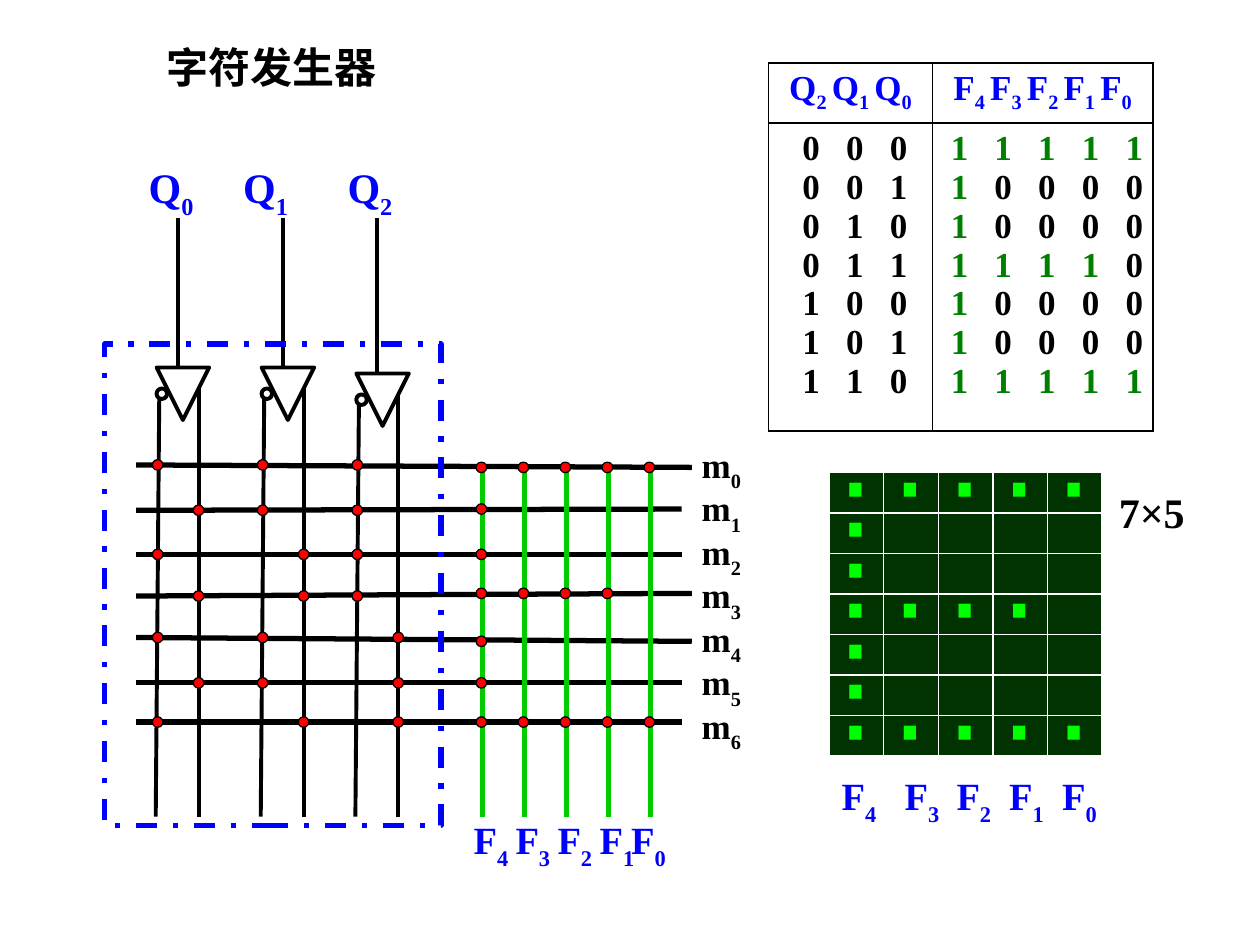
from lxml import etree
from pptx import Presentation
from pptx.dml.color import RGBColor
from pptx.enum.dml import MSO_LINE
from pptx.enum.shapes import MSO_CONNECTOR, MSO_SHAPE
from pptx.enum.text import MSO_ANCHOR, PP_ALIGN
from pptx.oxml.ns import qn
from pptx.util import Pt

STRAIGHT = MSO_CONNECTOR.STRAIGHT
TRIANGLE, OVAL, RECTANGLE = MSO_SHAPE.ISOSCELES_TRIANGLE, MSO_SHAPE.OVAL, MSO_SHAPE.RECTANGLE
TOP, LEFT, CENTER = MSO_ANCHOR.TOP, PP_ALIGN.LEFT, PP_ALIGN.CENTER
DASH_DOT = MSO_LINE.DASH_DOT

THEME = {
    "serif": "Times New Roman", "sans": "Noto Sans CJK SC",
    "ink": "000000", "label": "0000FF", "output": "00CC00", "dot": "FF0000",
    "one": "008000", "panel": "003300", "led": "00FF00", "grid": "FFFFFF",
    "large": 24, "medium": 22, "small": 20, "tiny": 8,
}
INK, LABEL = THEME["ink"], THEME["label"]
LARGE, MEDIUM, SMALL, TINY = (THEME[size] for size in ("large", "medium", "small", "tiny"))

STATES = ["000", "001", "010", "011", "100", "101", "110"]
PATTERNS = ["11111", "10000", "10000", "11110", "10000", "10000", "11111"]
WORD_LINES = [(265.7, 267.1, 395.3), (291.6, 290.9, 389.5), (316.8, 316.8, 389.5),
              (340.6, 339.1, 395.3), (364.3, 366.5, 395.3), (390.2, 390.2, 389.5),
              (412.6, 412.6, 389.5)]
GATES = [(89.5, 210), (149.5, 210), (203.6, 213.4)]
OUTPUTS = [275.6 + 24 * number for number in range(5)]
COLUMN_BOTTOM = 466.6

deck = Presentation()
deck.slide_width, deck.slide_height = Pt(720), Pt(540)
page = deck.slides.add_slide(deck.slide_layouts[5])


def draw_line(start_x, start_y, end_x, end_y, colour, width):
    line = page.shapes.add_connector(STRAIGHT, Pt(start_x), Pt(start_y), Pt(end_x), Pt(end_y))
    line.line.color.rgb = RGBColor.from_string(colour)
    line.line.width = Pt(width)
    etree.SubElement(line._element.spPr, qn("a:effectLst"))


def write_span(para, text, size, colour, face="serif", bold=True, **extra):
    span = para.add_run()
    span.text = text
    for name, value in {"size": Pt(size), "bold": bold, "name": THEME[face]}.items():
        setattr(span.font, name, value)
    span.font.color.rgb = RGBColor.from_string(colour)
    properties = span.font._element
    etree.SubElement(properties, qn("a:ea"), typeface=THEME[face])
    for name, value in extra.items():
        properties.set(name, str(value))


title = page.shapes.title
for name, value in {"left": 87.8, "top": 20.2, "width": 260.6, "height": 36.7}.items():
    setattr(title, name, Pt(value))
title.text_frame.vertical_anchor = TOP
title.text_frame.paragraphs[0].alignment = LEFT
write_span(title.text_frame.paragraphs[0], "字符发生器", LARGE, INK, "sans")

for left_y, right_y, end_x in WORD_LINES:
    draw_line(77.8, left_y, end_x, right_y, INK, 3)
for x, y in GATES:
    draw_line(x + 12, 124.6, x + 12, y, INK, 2.25)
    draw_line(x + 1.5, y + 18, x - 0.5, COLUMN_BOTTOM, INK, 2.25)
    draw_line(x + 24, COLUMN_BOTTOM, x + 24, y + 12, INK, 2.25)
for x in OUTPUTS:
    draw_line(x, 268.6, x, COLUMN_BOTTOM, THEME["output"], 3)

symbols = []
for x, y in GATES:
    symbols.append((TRIANGLE, x, y, 30, 30, None, INK, 2.25))
    symbols.append((OVAL, x, y + 12, 6, 6, None, INK, 2.25))
for state, pattern, (left_y, right_y, end_x) in zip(STATES, PATTERNS, WORD_LINES):
    inputs = [(x + (24 if bit == "1" else 0.6), left_y) for (x, y), bit in zip(GATES, reversed(state))]
    outputs = [(x - 0.5, right_y) for x, bit in zip(OUTPUTS, pattern) if bit == "1"]
    for x, y in inputs + outputs:
        symbols.append((OVAL, x - 3, y - 3, 6, 6, THEME["dot"], INK, 0.75))
symbols.append((RECTANGLE, 59.8, 196.6, 192.2, 275, None, LABEL, 3))

for kind, x, y, width, height, fill, colour, weight in symbols:
    symbol = page.shapes.add_shape(kind, Pt(x), Pt(y), Pt(width), Pt(height))
    symbol.shadow.inherit = False
    symbol.line.color.rgb = RGBColor.from_string(colour)
    symbol.line.width = Pt(weight)
    if fill:
        symbol.fill.solid()
        symbol.fill.fore_color.rgb = RGBColor.from_string(fill)
    else:
        symbol.fill.background()
    if kind == TRIANGLE:
        symbol.rotation = 180
    if kind == RECTANGLE:
        symbol.line.dash_style = DASH_DOT

panel_frame = page.shapes.add_table(7, 5, Pt(473.8), Pt(270), Pt(156), Pt(162.05))
truth_frame = page.shapes.add_table(2, 2, Pt(439.2), Pt(36), Pt(219.6), Pt(210.3))
panel, truth = panel_frame.table, truth_frame.table
for table, widths, heights, fill, border in [
    (panel, [31.2] * 5, [23.15] * 7, THEME["panel"], THEME["grid"]),
    (truth, [93.6, 126], [34.3, 176], None, INK),
]:
    table.first_row = table.horz_banding = False
    for column, width in zip(table.columns, widths):
        column.width = Pt(width)
    for row, height in zip(table.rows, heights):
        row.height = Pt(height)
    for cell in table.iter_cells():
        cell.text_frame.paragraphs[0].alignment = CENTER
        if fill:
            cell.fill.solid()
            cell.fill.fore_color.rgb = RGBColor.from_string(fill)
        else:
            cell.fill.background()
        for index, side in enumerate(["lnL", "lnR", "lnT", "lnB"]):
            edge = etree.Element(qn("a:" + side), w=str(Pt(1)))
            paint = etree.SubElement(edge, qn("a:solidFill"))
            etree.SubElement(paint, qn("a:srgbClr"), val=border)
            cell._tc.get_or_add_tcPr().insert(index, edge)

for row, pattern in enumerate(PATTERNS):
    for column, bit in enumerate(pattern):
        para = panel.cell(row, column).text_frame.paragraphs[0]
        if bit == "1":
            write_span(para, "▉", TINY, THEME["led"], "sans", False)
        else:
            para._p.get_or_add_endParaRPr().set("sz", str(TINY * 100))

for column, rows in enumerate([STATES, PATTERNS]):
    cell = truth.cell(1, column)
    cell.margin_right = Pt(2.2)
    for index, bits in enumerate(rows):
        para = cell.text_frame.add_paragraph() if index else cell.text_frame.paragraphs[0]
        para.alignment = CENTER
        lit = len(bits) - len(bits.lstrip("1")) if column else 0
        cut = max(2 * lit - 1, 0)
        text = " ".join(bits)
        for part, colour in [(text[:cut], THEME["one"]), (text[cut:], INK)]:
            if part:
                write_span(para, part, SMALL, colour, spc=500)

labels = [
    (truth.cell(0, 0).text_frame.paragraphs[0], "Q2 Q1 Q0", SMALL, LABEL, -25000),
    (truth.cell(0, 1).text_frame.paragraphs[0], "F4 F3 F2 F1 F0", SMALL, LABEL, -25000),
]
places = [(f"Q{number}", x, 88.6, 48, 36, LARGE) for number, x in enumerate([77.8, 131.8, 191.5])]
for y, lefts in [(463, [263.5, 287.5, 311.5, 335.5, 353.5]),
                 (437.8, [473.8, 509.8, 539.5, 569.5, 599.8])]:
    places += [(f"F{4 - index}", x, y, 48, 34, MEDIUM) for index, x in enumerate(lefts)]
places.append(("7×5", 632.2, 274.3, 73.4, 36, LARGE))
places.append(("m0 m1 m2 m3 m4 m5 m6", 393.8, 258.5, 48, 163.4, SMALL))

for text, x, y, width, height, size in places:
    box = page.shapes.add_textbox(Pt(x), Pt(y), Pt(width), Pt(height))
    frame = box.text_frame
    frame.word_wrap = True
    if text == "7×5":
        write_span(frame.paragraphs[0], text, size, INK)
        continue
    for index, label in enumerate(text.split()):
        para = frame.add_paragraph() if index else frame.paragraphs[0]
        if label.startswith("m"):
            para.line_spacing, para.space_before = 0.5, Pt(10.7)
        labels.append((para, label, size, INK if label.startswith("m") else LABEL, -30000))

for para, text, size, colour, drop in labels:
    names = text.split()
    for index, name in enumerate(names):
        gap = " " if index < len(names) - 1 else ""
        write_span(para, name[0], size, colour)
        write_span(para, name[1] + gap, size, colour, baseline=drop)

deck.save("out.pptx")
